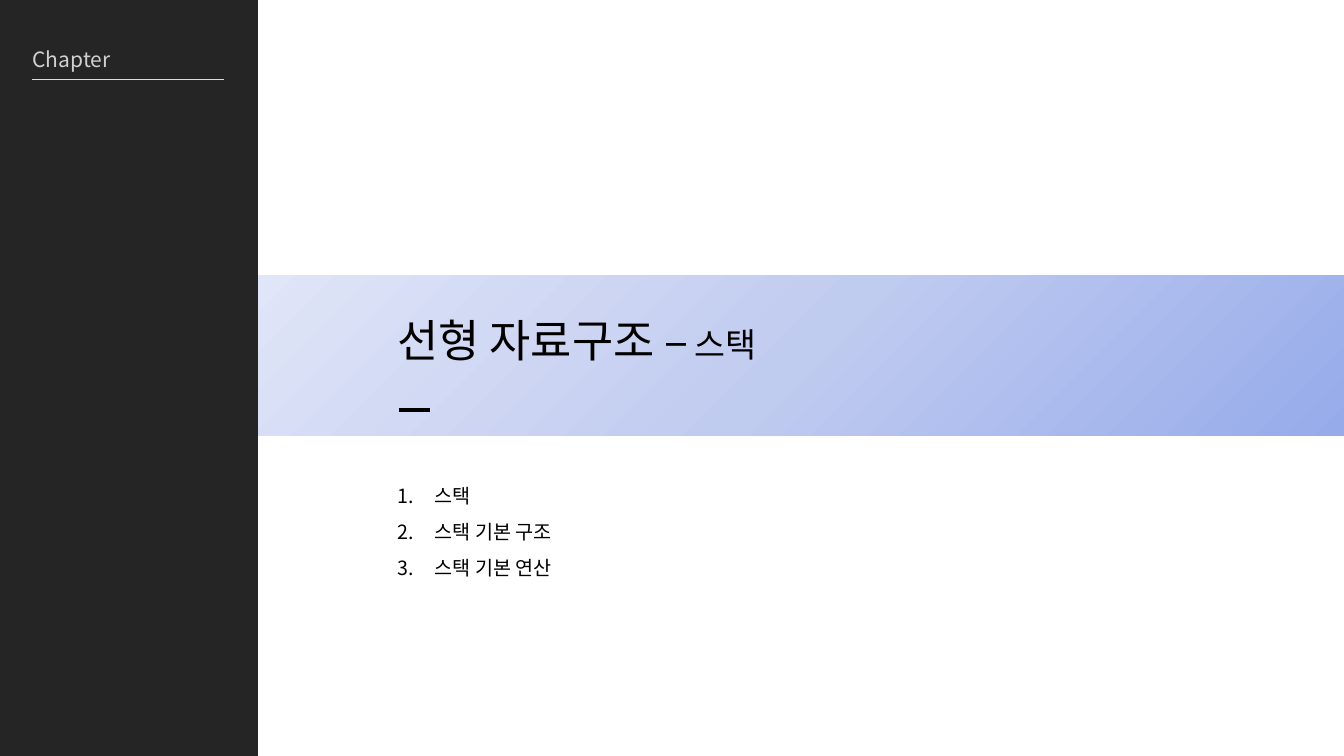
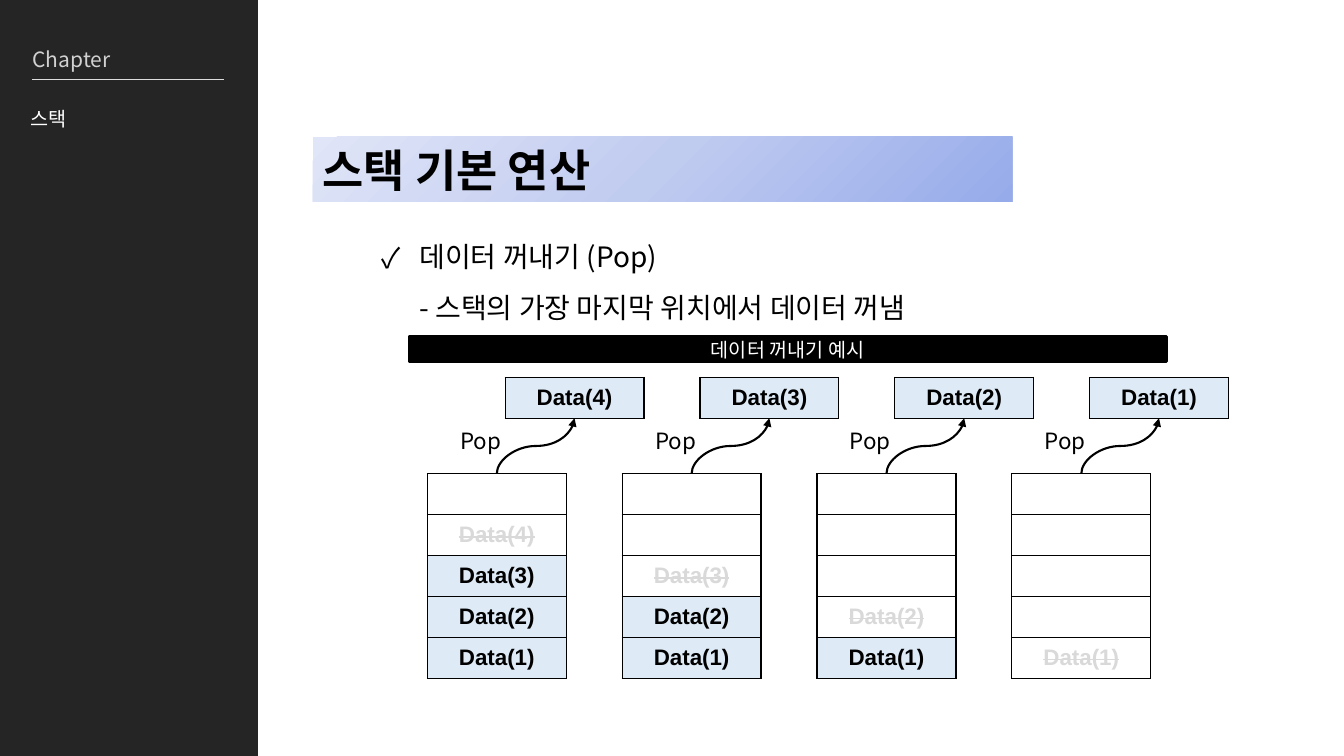
from lxml.etree import SubElement
from pptx import Presentation
from pptx.dml.color import RGBColor
from pptx.enum.shapes import MSO_CONNECTOR as Connector, MSO_SHAPE as Shape
from pptx.enum.text import MSO_ANCHOR as Anchor, MSO_AUTO_SIZE as AutoSize, PP_ALIGN as Align
from pptx.oxml import parse_xml
from pptx.oxml.ns import nsdecls, qn
from pptx.util import Cm, Pt

COLOURS = {
    "sidebar": "252525", "chapter": "D1D1D1", "rule": "DDDDDD",
    "black": "000000", "white": "FFFFFF", "removed": "D9D9D9", "stored": "DEEBF7",
}
BAND_STOPS = ((0, "96ABEA"), (50, "C0CBF0"), (100, "E0E5F7"))
KOREAN, LATIN = "Noto Sans CJK KR", "Arial"
TITLE_ONLY = 5
SLIDE_WIDTH, SLIDE_HEIGHT = 33.87, 19.05
SIDEBAR_WIDTH = 6.5
CELL_WIDTH, CELL_HEIGHT = 3.5, 1.03
CAPACITY = 5


def colour(name):
    return RGBColor.from_string(COLOURS[name])


def box(*lengths):
    return [Cm(length) for length in lengths]


def write(paragraph, text, size=14, ink="black", font=KOREAN, bold=False, strike=False,
          align=Align.LEFT, line_points=None):
    paragraph.alignment = align
    if line_points:
        paragraph.line_spacing = Pt(line_points)
    for index, line in enumerate(text.split("\n")):
        if index:
            paragraph.add_line_break()
        run = paragraph.add_run()
        run.text = line
        run.font.size, run.font.bold, run.font.name = Pt(size), bold, font
        run.font.color.rgb = colour(ink)
        properties = run.font._element
        SubElement(properties, qn("a:ea"), typeface=font)
        if strike:
            properties.set("strike", "sngStrike")


def set_bullet(paragraph, tag, indent=0.95, **attributes):
    properties = paragraph._p.get_or_add_pPr()
    properties.set("marL", str(Cm(indent)))
    properties.set("indent", str(-Cm(indent)))
    SubElement(properties, qn("a:buFont"), typeface=KOREAN)
    SubElement(properties, qn(tag), **attributes)


def set_frame(frame, insets=(0.13, 0.13, 0.13, 0.13), anchor=Anchor.MIDDLE, wrap=True):
    frame.margin_left, frame.margin_top, frame.margin_right, frame.margin_bottom = box(*insets)
    frame.vertical_anchor = anchor
    frame.word_wrap = wrap
    frame.auto_size = AutoSize.NONE
    return frame


def add_text(slide, left, top, width, height, **frame_format):
    shape = slide.shapes.add_textbox(*box(left, top, width, height))
    return set_frame(shape.text_frame, **frame_format)


def add_rectangle(slide, left, top, width, height, fill):
    shape = slide.shapes.add_shape(Shape.RECTANGLE, *box(left, top, width, height))
    shape.shadow.inherit = False
    shape.fill.solid()
    shape.fill.fore_color.rgb = colour(fill)
    shape.line.fill.background()
    return shape


def add_line(slide, kind, start, end, ink, points):
    connector = slide.shapes.add_connector(kind, *box(*start, *end))
    connector.line.color.rgb = colour(ink)
    connector.line.width = Pt(points)
    SubElement(connector._element.spPr, qn("a:effectLst"))
    return connector


def add_curved_arrow(slide, start, end):
    center_x, center_y = (start[0] + end[0]) / 2, (start[1] + end[1]) / 2
    half_run, half_rise = (end[0] - start[0]) / 2, (start[1] - end[1]) / 2
    connector = add_line(slide, Connector.CURVE,
                         (center_x + half_rise, center_y + half_run),
                         (center_x - half_rise, center_y - half_run), "black", 1.5)
    properties = connector._element.spPr
    properties.find(qn("a:xfrm")).set("rot", "5400000")
    SubElement(properties.find(qn("a:ln")), qn("a:tailEnd"), type="triangle")


def add_sidebar(slide, left, top, width, height, topic=None):
    add_rectangle(slide, left, top, width, height, "sidebar")
    chapter = add_text(slide, left + 0.69, top + 1.04, 2.6, 0.89, wrap=False)
    write(chapter.paragraphs[0], "Chapter", size=15, ink="chapter")
    rule_y = top + 2
    add_line(slide, Connector.STRAIGHT, (left + 0.81, rule_y), (left + width - 0.85, rule_y), "rule", 0.75)
    if topic:
        frame = add_text(slide, left + 0.64, top + 2.43, 5.16, 1.14)
        write(frame.paragraphs[0], topic, ink="white")


def set_title_band(slide, left, top, width, height, pieces, insets):
    title = slide.shapes.title
    title.left, title.top, title.width, title.height = box(left, top, width, height)
    title.fill.gradient()
    stops = "".join(f'<a:gs pos="{position * 1000}"><a:srgbClr val="{value}"/></a:gs>'
                    for position, value in BAND_STOPS)
    gradient = parse_xml(
        f'<a:gradFill {nsdecls("a")} rotWithShape="1"><a:gsLst>{stops}</a:gsLst>'
        '<a:path path="circle"><a:fillToRect l="100000" t="100000"/></a:path></a:gradFill>')
    properties = title._element.spPr
    properties.replace(properties.find(qn("a:gradFill")), gradient)
    frame = set_frame(title.text_frame, insets)
    for text, size, bold in pieces:
        write(frame.paragraphs[0], text, size=size, bold=bold)


def format_cell(cell, text, state):
    cell.margin_top = cell.margin_bottom = Cm(0.05)
    cell.vertical_anchor = Anchor.MIDDLE
    if state == "stored":
        cell.fill.solid()
        cell.fill.fore_color.rgb = colour("stored")
    else:
        cell.fill.background()
    if state != "empty":
        removed = state == "removed"
        write(cell.text_frame.paragraphs[0], text, size=16, font=LATIN, bold=True,
              ink="removed" if removed else "black", strike=removed, align=Align.CENTER)
    properties = cell._tc.get_or_add_tcPr()
    for index, side in enumerate("LRTB"):
        properties.insert(index, parse_xml(
            f'<a:ln{side} {nsdecls("a")} w="{Pt(1)}"><a:solidFill>'
            f'<a:srgbClr val="{COLOURS["black"]}"/></a:solidFill></a:ln{side}>'))


def add_cells(slide, left, top, entries):
    height = CELL_HEIGHT * len(entries)
    table = slide.shapes.add_table(len(entries), 1, *box(left, top, CELL_WIDTH, height)).table
    table.first_row = table.horz_banding = False
    for index, (text, state) in enumerate(entries):
        table.rows[index].height = Cm(CELL_HEIGHT)
        format_cell(table.cell(index, 0), text, state)


def add_pop_step(slide, left, top, count):
    popped_left, stack_top = left + 1.96, top + 2.43
    entries = []
    for level in range(CAPACITY, 0, -1):
        state = "empty" if level > count else "removed" if level == count else "stored"
        entries.append((f"Data({level})", state))
    add_cells(slide, left, stack_top, entries)
    add_cells(slide, popped_left, top, [(f"Data({count})", "stored")])
    add_curved_arrow(slide, (left + CELL_WIDTH / 2, stack_top),
                     (popped_left + CELL_WIDTH / 2, top + CELL_HEIGHT))
    label = add_text(slide, left + 0.58, top + 1.12, 1.57, 0.94,
                     insets=(0.25, 0.13, 0.25, 0.13), wrap=False)
    write(label.paragraphs[0], "Pop", size=16)


def add_slide(presentation, topic=None):
    slide = presentation.slides.add_slide(presentation.slide_layouts[TITLE_ONLY])
    add_sidebar(slide, 0, 0, SIDEBAR_WIDTH, SLIDE_HEIGHT, topic)
    return slide


def build_chapter_slide(presentation):
    slide = add_slide(presentation)
    left, top = SIDEBAR_WIDTH, 6.93
    pieces = [("선형 자료구조 –", 32, False), (" ", 18, False), ("스택", 24, False)]
    set_title_band(slide, left, top, SLIDE_WIDTH - left, 4.04, pieces, (3.51, 0, 0.13, 0.76))
    dash_y = top + 3.4
    add_line(slide, Connector.STRAIGHT, (left + 3.55, dash_y), (left + 4.34, dash_y), "black", 3)
    contents = add_text(slide, left + 3.38, top + 4.83, 20.9, 2.95, anchor=Anchor.TOP)
    for index, entry in enumerate(("스택", "스택 기본 구조", "스택 기본 연산")):
        paragraph = contents.add_paragraph() if index else contents.paragraphs[0]
        write(paragraph, entry, line_points=25.5)
        set_bullet(paragraph, "a:buAutoNum", type="arabicPeriod")


def build_pop_slide(presentation):
    slide = add_slide(presentation, topic="스택")
    set_title_band(slide, 7.88, 3.45, 17.63, 1.63, [("스택 기본 연산", 32, True)], (0.25, 0, 0.25, 0))
    summary = add_text(slide, 9.37, 5.46, 19.8, 2.7, insets=(0.25, 0.13, 0.25, 0.13), anchor=Anchor.TOP)
    write(summary.paragraphs[0], "데이터 꺼내기 (Pop)\n- 스택의 가장 마지막 위치에서 데이터 꺼냄",
          size=20, line_points=36.5)
    set_bullet(summary.paragraphs[0], "a:buChar", char="✓")
    heading = add_rectangle(slide, 10.31, 8.48, 19.08, 0.64, "black")
    heading.line.color.rgb = colour("black")
    heading.line.width = Pt(2)
    frame = set_frame(heading.text_frame, insets=(0.25, 0, 0.25, 0))
    write(frame.paragraphs[0], "데이터 꺼내기 예시", ink="white", align=Align.CENTER)
    for index, count in enumerate(range(4, 0, -1)):
        add_pop_step(slide, 10.77 + 4.91 * index, 9.51, count)


def main():
    presentation = Presentation()
    presentation.slide_width, presentation.slide_height = box(SLIDE_WIDTH, SLIDE_HEIGHT)
    build_chapter_slide(presentation)
    build_pop_slide(presentation)
    presentation.save("out.pptx")


if __name__ == "__main__":
    main()
